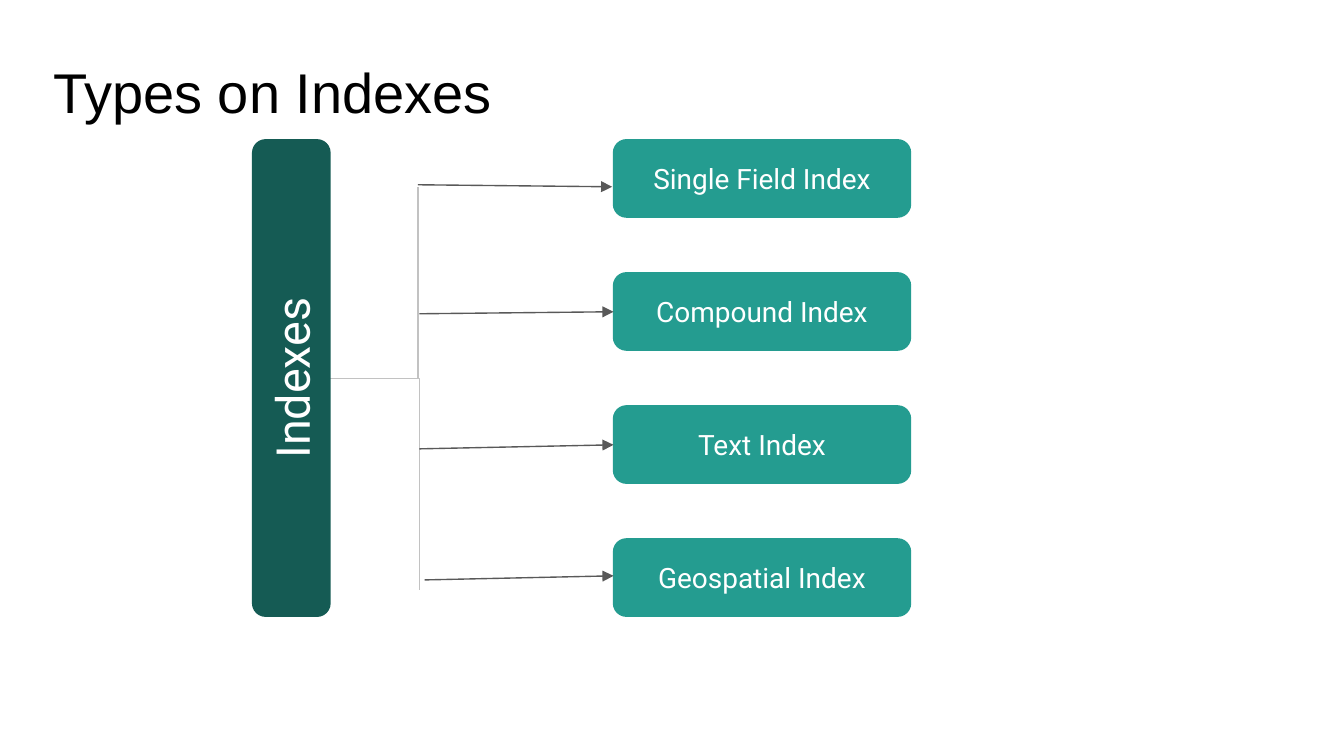
from lxml import etree
from pptx import Presentation
from pptx.dml.color import RGBColor
from pptx.enum.shapes import MSO_CONNECTOR, MSO_SHAPE
from pptx.enum.text import MSO_ANCHOR, MSO_AUTO_SIZE, PP_ALIGN
from pptx.oxml.ns import qn
from pptx.util import Pt

PX = 4572
STRAIGHT, ELBOW = MSO_CONNECTOR.STRAIGHT, MSO_CONNECTOR.ELBOW
ROUNDED = MSO_SHAPE.ROUNDED_RECTANGLE
MIDDLE, BOTTOM = MSO_ANCHOR.MIDDLE, MSO_ANCHOR.BOTTOM
LEFT, CENTER = PP_ALIGN.LEFT, PP_ALIGN.CENTER
COLORS = {"title": "000000", "root": "155B54", "box": "249C90",
          "label": "FFFFFF", "bracket": "C2C2C2", "arrow": "595959"}


def add_text(sp, text, size, font, color, align, anchor):
    tf = sp.text_frame
    tf.word_wrap = True
    tf.auto_size = MSO_AUTO_SIZE.NONE
    tf.vertical_anchor = anchor
    tf.margin_left = tf.margin_right = tf.margin_top = tf.margin_bottom = 20 * PX
    p = tf.paragraphs[0]
    p.alignment = align
    r = p.add_run()
    r.text = text
    r.font.size = Pt(size)
    r.font.name = font
    r.font.color.rgb = RGBColor.from_string(COLORS[color])


def add_line(kind, x1, y1, x2, y2, color):
    c = s.shapes.add_connector(kind, x1 * PX, y1 * PX, x2 * PX, y2 * PX)
    c.line.color.rgb = RGBColor.from_string(COLORS[color])
    c.line.width = Pt(0.75)
    etree.SubElement(c._element.spPr, qn("a:effectLst"))
    return c


prs = Presentation()
prs.slide_width, prs.slide_height = 2000 * PX, 1125 * PX
s = prs.slides.add_slide(prs.slide_layouts[5])

title = s.shapes.title
title.left, title.top, title.width, title.height = 59 * PX, 22 * PX, 1864 * PX, 184 * PX
add_text(title, "Types on Indexes", 30, "Arial", "title", LEFT, BOTTOM)

for x, y in [(624, 878), (622, 278)]:
    bracket = add_line(ELBOW, 491, 563, x, y, "bracket")
    bracket._element.spPr.find(qn("a:prstGeom")).set("prst", "bentConnector2")

boxes = [("Indexes", 79, 505, 709, 115, 270, 25, "root")]
names = ["Single Field Index", "Compound Index", "Text Index", "Geospatial Index"]
for i, name in enumerate(names):
    boxes.append((name, 913, 208 + 198 * i, 442, 115, 0, 15, "box"))

for name, x, y, w, h, angle, size, color in boxes:
    sp = s.shapes.add_shape(ROUNDED, x * PX, y * PX, w * PX, h * PX)
    sp.rotation = angle
    sp.shadow.inherit = False
    sp.fill.solid()
    sp.fill.fore_color.rgb = RGBColor.from_string(COLORS[color])
    sp.line.color.rgb = RGBColor.from_string(COLORS[color])
    sp.line.width = Pt(0.75)
    add_text(sp, name, size, "Roboto", "label", CENTER, MIDDLE)

arrows = [(622, 275, 911, 278), (624, 467, 913, 464),
          (624, 668, 913, 662), (632, 863, 913, 857)]
for x1, y1, x2, y2 in arrows:
    arrow = add_line(STRAIGHT, x1, y1, x2, y2, "arrow")
    etree.SubElement(arrow.line._get_or_add_ln(), qn("a:tailEnd"), type="triangle")

prs.save("out.pptx")
